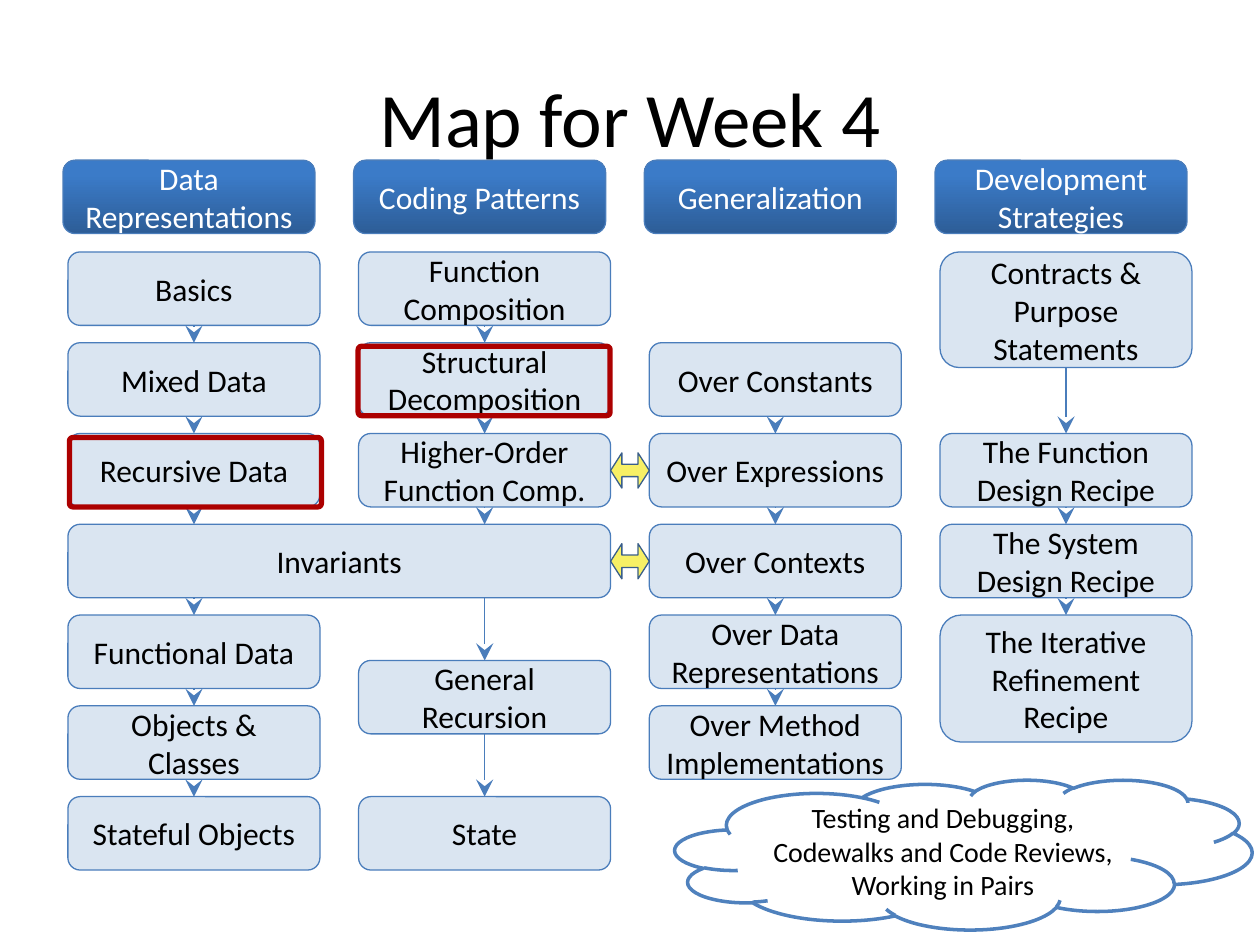
from itertools import pairwise

from lxml import etree
from pptx import Presentation
from pptx import util as u
from pptx.dml.color import RGBColor
from pptx.enum import shapes, text
from pptx.oxml import ns

LEFT, TOP = 1.37, 5.08
COLUMN_STEP, ROW_STEP = 5.86, 1.83
BOX_WIDTH, BOX_HEIGHT = 5.08, 1.48
HEADER_LEFT, HEADER_TOP = 1.27, 3.23

HEADERS = ["Data Representations", "Coding Patterns", "Generalization",
           "Development Strategies"]
BOXES = [
    ("Basics", 0, 0), ("Function Composition", 1, 0),
    ("Over Constants", 2, 1), ("Contracts & Purpose Statements", 3, 0),
    ("Mixed Data", 0, 1), ("Structural Decomposition", 1, 1),
    ("Recursive Data", 0, 2), ("Higher-Order Function Comp.", 1, 2),
    ("Over Expressions", 2, 2), ("The Function Design Recipe", 3, 2),
    ("Invariants", 0, 3), ("Over Contexts", 2, 3),
    ("The System Design Recipe", 3, 3), ("Functional Data", 0, 4),
    ("General Recursion", 1, 4.5), ("Over Data Representations", 2, 4),
    ("The Iterative Refinement Recipe", 3, 4), ("Objects & Classes", 0, 5),
    ("Over Method Implementations", 2, 5), ("Stateful Objects", 0, 6),
    ("State", 1, 6),
]
SPECIAL_SIZES = {
    "Contracts & Purpose Statements": (BOX_WIDTH, 2.33),
    "The Iterative Refinement Recipe": (BOX_WIDTH, 2.56),
    "Invariants": (COLUMN_STEP + BOX_WIDTH, BOX_HEIGHT),
}
CHAINS = [
    ["Basics", "Mixed Data", "Recursive Data", "Invariants", "Functional Data",
     "Objects & Classes", "Stateful Objects"],
    ["Function Composition", "Structural Decomposition",
     "Higher-Order Function Comp.", "Invariants", "General Recursion", "State"],
    ["Over Constants", "Over Expressions", "Over Contexts",
     "Over Data Representations", "Over Method Implementations"],
    ["Contracts & Purpose Statements", "The Function Design Recipe",
     "The System Design Recipe", "The Iterative Refinement Recipe"],
]


def color(value):
    return RGBColor.from_string(value)


def middle(shape):
    return shape.left + shape.width // 2


class MapSlide:
    font = "Calibri"
    outline = "4A7DBB"
    box_fill = "DAE5F1"
    black = "000000"

    def __init__(self, slide):
        self.slide = slide

    def label(self, shape, lines, size, font_color):
        frame = shape.text_frame
        frame.word_wrap = True
        frame.vertical_anchor = text.MSO_ANCHOR.MIDDLE
        for index, line in enumerate(lines):
            paragraph = frame.add_paragraph() if index else frame.paragraphs[0]
            paragraph.alignment = text.PP_ALIGN.CENTER
            run = paragraph.add_run()
            run.text = line
            run.font.name = self.font
            run.font.size = u.Pt(size)
            run.font.color.rgb = color(font_color)

    def shape(self, kind, left, top, width, height, fill, line, weight=0.75,
              adjustments=()):
        shape = self.slide.shapes.add_shape(
            kind, u.Cm(left), u.Cm(top), u.Cm(width), u.Cm(height))
        shape.shadow.inherit = False
        if fill:
            shape.fill.solid()
            shape.fill.fore_color.rgb = color(fill)
        else:
            shape.fill.background()
        shape.line.color.rgb = color(line)
        shape.line.width = u.Pt(weight)
        for index, value in enumerate(adjustments):
            shape.adjustments[index] = value
        return shape

    def box(self, wording, left, top, width=BOX_WIDTH, height=BOX_HEIGHT,
            font_color=black):
        shape = self.shape(shapes.MSO_SHAPE.ROUNDED_RECTANGLE, left, top, width,
                           height, self.box_fill, self.outline)
        self.label(shape, [wording], 18, font_color)
        return shape

    def header(self, wording, column):
        shape = self.box(wording, HEADER_LEFT + column * COLUMN_STEP, HEADER_TOP,
                         font_color="FFFFFF")
        shape.fill.gradient()
        shape.fill.gradient_angle = 90
        stops = [(0, "2D5D97"), (0.8, "3B7BC8")]
        for stop, (position, value) in zip(shape.fill.gradient_stops, stops):
            stop.position = position
            stop.color.rgb = color(value)

    def arrow(self, above, below):
        x = middle(min(above, below, key=lambda shape: shape.width))
        connector = self.slide.shapes.add_connector(
            shapes.MSO_CONNECTOR.STRAIGHT, x, above.top + above.height,
            x, below.top)
        if middle(above) == x:
            connector.begin_connect(above, 2)
        if middle(below) == x:
            connector.end_connect(below, 0)
        connector.line.color.rgb = color(self.outline)
        connector.line.width = u.Pt(0.75)
        properties = connector.element.spPr
        etree.SubElement(properties.find(ns.qn("a:ln")), ns.qn("a:tailEnd"),
                         type="stealth", w="lg", len="lg")
        etree.SubElement(properties, ns.qn("a:effectLst"))

    def double_arrow(self, row):
        self.shape(shapes.MSO_SHAPE.LEFT_RIGHT_ARROW,
                   LEFT + COLUMN_STEP + BOX_WIDTH, TOP + row * ROW_STEP + 0.39,
                   COLUMN_STEP - BOX_WIDTH, 0.71, "F7F065", "395E8A",
                   adjustments=(0.35, 0.32))

    def cloud(self, lines):
        shape = self.shape(shapes.MSO_SHAPE.CLOUD, 13.61, 15.72, 11.63, 3.02,
                           "FFFFFF", "4F81BD", 2)
        self.label(shape, lines, 16, self.black)

    def title(self, wording):
        title = self.slide.shapes.title
        title.left, title.top = u.Cm(1.27), u.Cm(0.76)
        title.width, title.height = u.Cm(22.86), u.Cm(3.18)
        self.label(title, [wording], 44, self.black)
        title.element.getparent().append(title.element)

    def highlight(self, left, top):
        self.shape(shapes.MSO_SHAPE.ROUNDED_RECTANGLE, left, top, BOX_WIDTH, 1.4,
                   None, "AC0000", 3, (0.05,))


def main():
    presentation = Presentation()
    presentation.slide_width = u.Cm(25.4)
    presentation.slide_height = u.Cm(19.05)
    week = MapSlide(presentation.slides.add_slide(presentation.slide_layouts[5]))

    for column, wording in enumerate(HEADERS):
        week.header(wording, column)
    boxes = {}
    for wording, column, row in BOXES:
        size = SPECIAL_SIZES.get(wording, (BOX_WIDTH, BOX_HEIGHT))
        boxes[wording] = week.box(wording, LEFT + column * COLUMN_STEP,
                                  TOP + row * ROW_STEP, *size)
    for chain in CHAINS:
        for above, below in pairwise(chain):
            week.arrow(boxes[above], boxes[below])
    for row in (2, 3):
        week.double_arrow(row)
    week.cloud(["Testing and Debugging,", "Codewalks and Code Reviews,",
                "Working in Pairs"])
    week.title("Map for Week 4")
    week.highlight(1.4, 8.82)
    week.highlight(7.22, 6.98)
    presentation.save("out.pptx")


if __name__ == "__main__":
    main()
